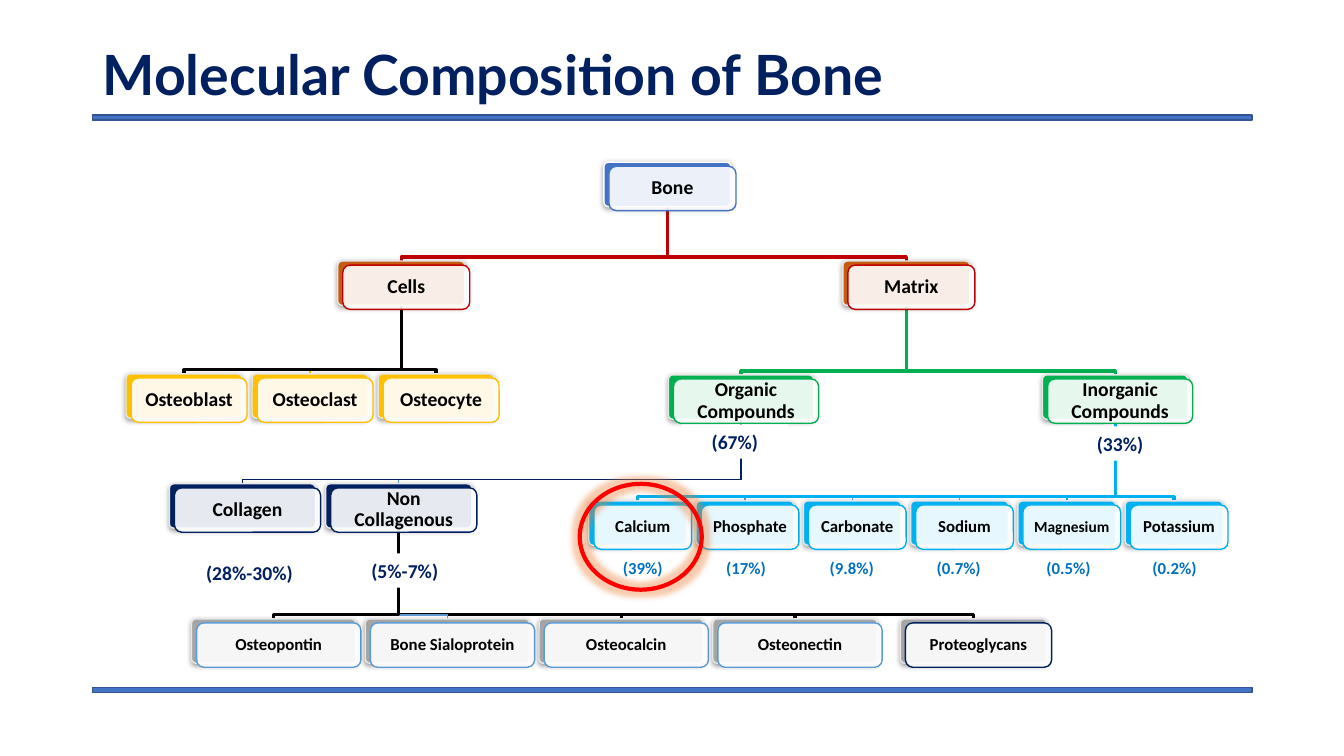
from dataclasses import dataclass, field

from lxml import etree
from pptx import Presentation
from pptx.dml.color import RGBColor
from pptx.enum.shapes import MSO_SHAPE
from pptx.enum.text import MSO_ANCHOR, PP_ALIGN
from pptx.oxml.ns import qn
from pptx.util import Inches, Pt

RECTANGLE, ROUNDED, OVAL = MSO_SHAPE.RECTANGLE, MSO_SHAPE.ROUNDED_RECTANGLE, MSO_SHAPE.OVAL
MIDDLE, CENTER, LEFT = MSO_ANCHOR.MIDDLE, PP_ALIGN.CENTER, PP_ALIGN.LEFT


@dataclass(frozen=True)
class Theme:
    """Colours, fonts and type sizes of the slide."""
    white: str = "FFFFFF"
    black: str = "000000"
    pale: str = "E7E7E7"
    navy: str = "002060"
    blue: str = "4472C4"
    blue_edge: str = "325491"
    soft_blue: str = "5B9BD5"
    sky: str = "00B0F0"
    share_blue: str = "0070C0"
    crimson: str = "C00000"
    rust: str = "C55A11"
    gold: str = "FFC000"
    green: str = "00B050"
    gray: str = "A5A5A5"
    red: str = "FF0000"
    glow: str = "ED7D31"
    title_font: str = "Lato"
    body_font: str = "Calibri"
    title: float = 39.6
    label: int = 14
    small: int = 12
    tiny: int = 11
    thin: float = 1
    thick: float = 2.25


THEME = Theme()


@dataclass(frozen=True)
class Box:
    """A rectangle in inches."""
    left: float
    top: float
    width: float
    height: float

    def inner(self, left, top, width, height):
        """Return a box placed from this box's corner."""
        return Box(self.left + left, self.top + top, width, height)

    def lengths(self):
        """Return the four lengths for a shape call."""
        return [Inches(value) for value in (self.left, self.top, self.width, self.height)]


@dataclass(frozen=True)
class Family:
    """Evenly spaced sibling cards under one parent."""
    parent: str
    names: tuple
    left: float
    last: float
    top: float
    width: float
    fill: str
    edge: str
    link: str = ""
    link_width: float = THEME.thick
    faint: dict = field(default_factory=dict)
    size: int = THEME.label


CARD_HEIGHT = 0.44
FAMILIES = (
    Family("", ("Bone",), 4.99, 4.99, 0.11, 1.26, THEME.blue, THEME.blue),
    Family("Bone", ("Cells", "Matrix"), 2.35, 7.36, 1.09, 1.26,
           THEME.rust, THEME.crimson, THEME.crimson),
    Family("Cells", ("Osteoblast", "Osteoclast", "Osteocyte"), 0.25, 2.75, 2.21, 1.15,
           THEME.gold, THEME.gold, THEME.black, faint={"Osteoclast": THEME.gold}),
    Family("Matrix", ("Organic Compounds", "Inorganic Compounds"), 5.63, 9.34, 2.22, 1.44,
           THEME.green, THEME.green, THEME.green),
    Family("Organic Compounds", ("Collagen", "Non Collagenous"), 0.68, 2.23, 3.3, 1.45,
           THEME.navy, THEME.navy, THEME.navy, THEME.thin,
           {"Non Collagenous": THEME.soft_blue}),
    Family("Non Collagenous",
           ("Osteopontin", "Bone Sialoprotein", "Osteocalcin", "Osteonectin"),
           0.9, 6.07, 4.64, 1.63, THEME.gray, THEME.soft_blue, THEME.black,
           faint={"Bone Sialoprotein": THEME.soft_blue}, size=THEME.small),
    Family("Non Collagenous", ("Proteoglycans",), 7.93, 7.93, 4.64, 1.45,
           THEME.gray, THEME.navy, THEME.black, size=THEME.small),
    Family("Inorganic Compounds",
           ("Calcium", "Phosphate", "Carbonate", "Sodium", "Magnesium", "Potassium"),
           4.84, 10.16, 3.47, 0.97, THEME.sky, THEME.sky, THEME.sky,
           faint={"Phosphate": THEME.soft_blue, "Carbonate": THEME.soft_blue,
                  "Sodium": THEME.soft_blue, "Magnesium": THEME.sky}, size=THEME.small),
)
SHARES = (
    ("(28%-30%)", 0.87, 4.01, 1.21),
    ("(5%-7%)", 2.41, 3.99, 1.21),
    ("(67%)", 5.76, 2.71, 1.06),
    ("(33%)", 9.58, 2.73, 1.06),
)
MINERAL_SHARES = ("(39%)", "(17%)", "(9.8%)", "(0.7%)", "(0.5%)", "(0.2%)")
MINERAL_TABS = (1.22, 2.27, 3.33, 4.42, 5.47)


def color(code):
    """Turn a hex code into a colour."""
    return RGBColor.from_string(code)


def add_effect(shape, kind, code, alpha, **settings):
    """Give a shape a glow or a shadow."""
    shape.shadow.inherit = False
    effects = shape._element.spPr.find(qn("a:effectLst"))
    effect = etree.SubElement(effects, qn(kind), {key: str(value) for key, value in settings.items()})
    tint = etree.SubElement(effect, qn("a:srgbClr"), val=code)
    etree.SubElement(tint, qn("a:alpha"), val=str(alpha * 1000))


def paint(shape, fill=None, line=None, width=THEME.thin):
    """Set fill and outline and drop the shadow."""
    shape.shadow.inherit = False
    if fill:
        shape.fill.solid()
        shape.fill.fore_color.rgb = color(fill)
    else:
        shape.fill.background()
    if line:
        shape.line.color.rgb = color(line)
        shape.line.width = Pt(width)
    else:
        shape.line.fill.background()


def write(shape, text, size, code, font=THEME.body_font, align=CENTER, spacing=1.0):
    """Write one bold paragraph into a shape."""
    frame = shape.text_frame
    frame.word_wrap = True
    frame.vertical_anchor = MIDDLE
    para = frame.paragraphs[0]
    para.text = text
    para.alignment = align
    para.line_spacing = spacing
    para.font.name = font
    para.font.size = Pt(size)
    para.font.bold = True
    para.font.color.rgb = color(code)


def add_heading(page, box):
    """Place the title and the two rules that frame the content."""
    title = page.shapes.add_textbox(*box.inner(0, 0, box.width, 0.74).lengths())
    write(title, "Molecular Composition of Bone", THEME.title, THEME.navy,
          THEME.title_font, LEFT, 0.9)
    for top in (0.74, box.height - 0.05):
        rule = page.shapes.add_shape(RECTANGLE, *box.inner(0, top, box.width, 0.05).lengths())
        paint(rule, THEME.blue, THEME.blue_edge)


def add_link(page, parent, child, code, width):
    """Draw an elbow from the foot of a parent card to the top of a child."""
    start_x, end_x = parent.left + parent.width / 2, child.left + child.width / 2
    bend = child.top - 0.04
    pen = page.shapes.build_freeform(Inches(start_x), Inches(parent.top + parent.height))
    corners = ((start_x, bend), (end_x, bend), (end_x, child.top))
    pen.add_line_segments([(Inches(x), Inches(y)) for x, y in corners], close=False)
    paint(pen.convert_to_shape(), None, code, width)


def add_card(page, box, name, family):
    """Place a coloured backing and the labelled card in front of it."""
    backing = page.shapes.add_shape(ROUNDED, *box.lengths())
    backing.adjustments[0] = 0.1
    paint(backing, family.fill, THEME.pale if family.parent else THEME.white)
    add_effect(backing, "a:outerShdw", THEME.black, 40, blurRad=Pt(4), dist=Pt(1.5), dir=5400000)
    card = page.shapes.add_shape(ROUNDED, *box.inner(0.05, 0.04, box.width, box.height).lengths())
    paint(card, THEME.white, family.edge)
    tint = card._element.spPr.find(qn("a:solidFill"))[0]
    etree.SubElement(tint, qn("a:alpha"), val="90000")
    frame = card.text_frame
    frame.margin_left = frame.margin_right = frame.margin_top = frame.margin_bottom = Inches(0.05)
    size = THEME.tiny if name == "Magnesium" else family.size
    write(card, name, size, THEME.black, spacing=0.9)


def add_tree(page, box):
    """Draw all links, then all cards."""
    cards = {}
    for family in FAMILIES:
        pitch = (family.last - family.left) / max(len(family.names) - 1, 1)
        for index, name in enumerate(family.names):
            place = box.inner(family.left + index * pitch, family.top, family.width, CARD_HEIGHT)
            cards[name] = (place, family)
    for name, (place, family) in reversed(cards.items()):
        if family.parent:
            width = THEME.thin if name in family.faint else family.link_width
            add_link(page, cards[family.parent][0], place,
                     family.faint.get(name, family.link), width)
    for name, (place, family) in cards.items():
        add_card(page, place, name, family)


def add_shares(page, box):
    """Add the percentages and the ring around calcium."""
    for text, left, top, width in SHARES:
        share = page.shapes.add_shape(RECTANGLE, *box.inner(left, top, width, 0.34).lengths())
        paint(share, THEME.white)
        write(share, text, THEME.label, THEME.navy)
    minerals = page.shapes.add_textbox(*box.inner(5.08, 3.98, 6.22, 0.3).lengths())
    settings = minerals.text_frame.paragraphs[0]._p.get_or_add_pPr()
    stops = etree.SubElement(settings, qn("a:tabLst"))
    for stop in MINERAL_TABS:
        etree.SubElement(stops, qn("a:tab"), pos=str(Inches(stop)), algn="ctr")
    write(minerals, "\t".join(MINERAL_SHARES), THEME.small, THEME.share_blue, align=LEFT)
    ring = page.shapes.add_shape(OVAL, *box.inner(4.75, 3.3, 1.21, 1.05).lengths())
    paint(ring, None, THEME.red, 3)
    add_effect(ring, "a:glow", THEME.glow, 40, rad=Pt(8))


def main():
    """Build and save the slide."""
    deck = Presentation()
    deck.slide_width, deck.slide_height = Inches(13.33), Inches(7.5)
    page = deck.slides.add_slide(deck.slide_layouts[6])
    add_heading(page, Box(0.92, 0.4, 11.5, 6.47))
    chart = Box(1, 1.5, 11.3, 5.2)
    add_tree(page, chart)
    add_shares(page, chart)
    deck.save("out.pptx")


if __name__ == "__main__":
    main()
